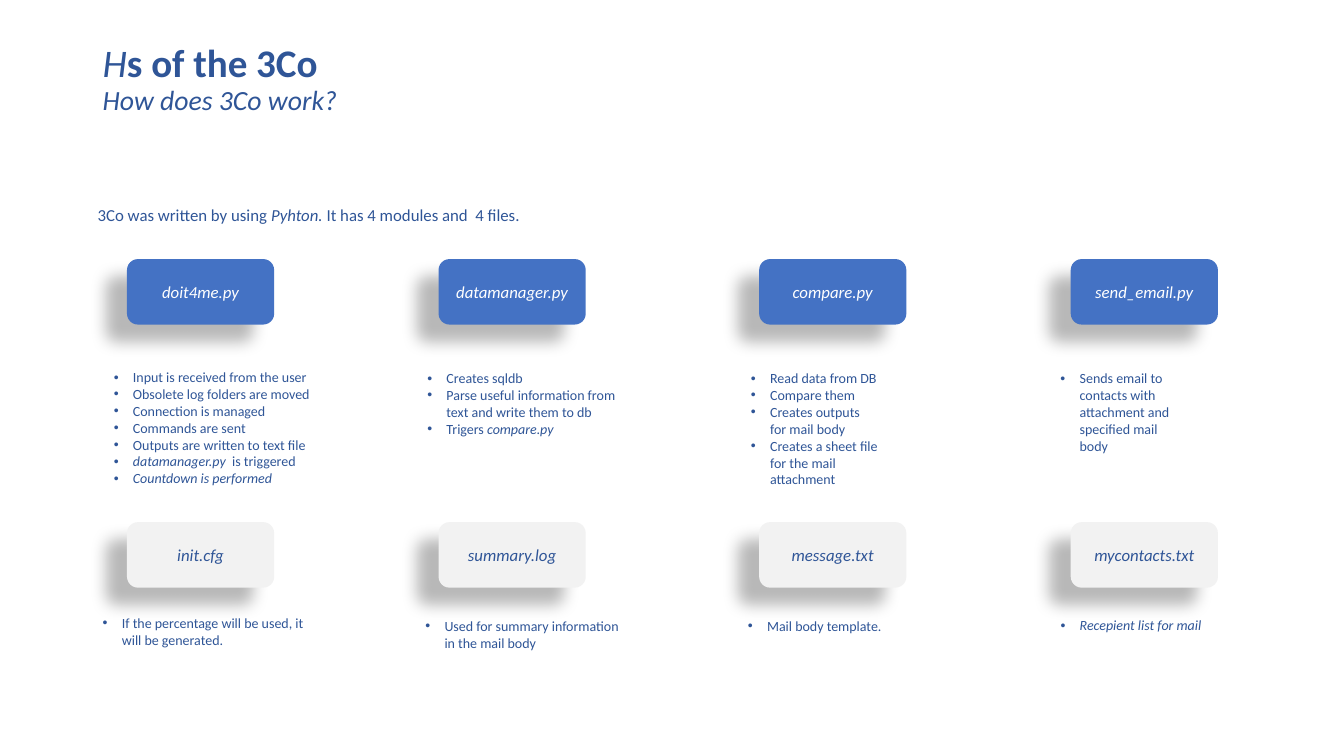
from dataclasses import dataclass

from lxml import etree
from pptx import Presentation
from pptx.dml.color import RGBColor
from pptx.enum.shapes import MSO_SHAPE
from pptx.enum.text import MSO_ANCHOR, MSO_AUTO_SIZE, PP_ALIGN
from pptx.oxml.ns import qn
from pptx.util import Inches, Pt

ROUND = MSO_SHAPE.ROUNDED_RECTANGLE
MIDDLE = MSO_ANCHOR.MIDDLE
CENTER = PP_ALIGN.CENTER
GROW = MSO_AUTO_SIZE.SHAPE_TO_FIT_TEXT

FONT = "Calibri"
COLORS = {"ink": "2F5597", "module": "4472C4", "file": "F2F2F2",
          "white": "FFFFFF", "shadow": "000000"}
COLS = (1.26, 4.35, 7.53, 10.62)
CARD_W, CARD_H = 1.46, 0.65
INDENT = 0.19


@dataclass
class Note:
    left: float
    top: float
    width: float
    height: float
    lines: tuple[str, ...]  # asterisks enclose italics


@dataclass
class Card:
    name: str
    note: Note


@dataclass
class Row:
    top: float
    fill: str
    ink: str
    cards: tuple[Card, ...]


ROWS = (
    Row(2.57, "module", "white", (
        Card("doit4me.py", Note(1.03, 3.61, 2.22, 1.28, (
            "Input is received from the user",
            "Obsolete log folders are moved",
            "Connection is managed",
            "Commands are sent",
            "Outputs are written to text file",
            "*datamanager.py * is triggered",
            "*Countdown is performed*"))),
        Card("datamanager.py", Note(4.14, 3.62, 2.17, 0.77, (
            "Creates sqldb",
            "Parse useful information from text and write them to db",
            "Trigers *compare.py*"))),
        Card("compare.py", Note(7.35, 3.62, 1.46, 1.28, (
            "Read data from DB",
            "Compare them",
            "Creates outputs for mail body",
            "Creates a sheet file for the mail attachment"))),
        Card("send_email.py", Note(10.42, 3.62, 1.46, 0.94, (
            "Sends email to contacts with attachment and specified mail body",))),
    )),
    Row(5.18, "file", "ink", (
        Card("init.cfg", Note(0.92, 6.05, 2.22, 0.44, (
            "If the percentage will be used, it will be generated.",))),
        Card("summary.log", Note(4.12, 6.08, 2.22, 0.44, (
            "Used for summary information in the mail body",))),
        Card("message.txt", Note(7.32, 6.08, 2.22, 0.27, (
            "Mail body template.",))),
        Card("mycontacts.txt", Note(10.42, 6.07, 2.22, 0.27, (
            "*Recepient list for mail*",))),
    )),
)


def color(key: str) -> RGBColor:
    return RGBColor.from_string(COLORS[key])


def write(para, text: str, size: float, ink: str = "ink") -> None:
    """Fill a paragraph, with the parts between asterisks in italics."""
    font = para.font
    font.name, font.size = FONT, Pt(size)
    font.color.rgb = color(ink)
    parts = [(part, i % 2 == 1) for i, part in enumerate(text.split("*")) if part]
    for part, slant in parts:
        run = para.add_run()
        run.text = part
        if len(parts) == 1:
            font.italic = slant
        else:
            run.font.italic = slant


def add_box(slide, left: float, top: float, width: float, height: float):
    box = slide.shapes.add_textbox(Inches(left), Inches(top),
                                   Inches(width), Inches(height))
    box.text_frame.word_wrap = True
    return box.text_frame


def add_shadow(shape) -> None:
    shape.shadow.inherit = False
    effects = shape._element.spPr.find(qn("a:effectLst"))
    outer = etree.SubElement(effects, qn("a:outerShdw"), blurRad=str(Pt(11.8)),
                             dist=str(Pt(19.7)), dir=str(141 * 60000),
                             rotWithShape="0")
    tint = etree.SubElement(outer, qn("a:srgbClr"), val=COLORS["shadow"])
    etree.SubElement(tint, qn("a:alpha"), val="28000")


def add_card(slide, left: float, row: Row, name: str) -> None:
    shape = slide.shapes.add_shape(ROUND, Inches(left), Inches(row.top),
                                   Inches(CARD_W), Inches(CARD_H))
    shape.fill.solid()
    shape.fill.fore_color.rgb = color(row.fill)
    shape.line.fill.background()
    add_shadow(shape)
    frame = shape.text_frame
    frame.vertical_anchor = MIDDLE
    para = frame.paragraphs[0]
    para.alignment = CENTER
    write(para, f"*{name}*", 12, row.ink)


def add_note(slide, note: Note) -> None:
    frame = add_box(slide, note.left, note.top, note.width, note.height)
    frame.auto_size = GROW
    for i, line in enumerate(note.lines):
        para = frame.add_paragraph() if i else frame.paragraphs[0]
        write(para, line, 10)
        props = para._p.get_or_add_pPr()
        props.set("marL", str(Inches(INDENT)))
        props.set("indent", str(-Inches(INDENT)))
        face = etree.Element(qn("a:buFont"), typeface="Arial")
        mark = etree.Element(qn("a:buChar"), char="•")
        props.insert(0, face)
        props.insert(1, mark)


def add_title(slide) -> None:
    frame = add_box(slide, 0.92, 0.4, 11.5, 0.79)
    frame.vertical_anchor = MIDDLE
    para = frame.paragraphs[0]
    para.line_spacing = 0.9
    write(para, "*H*s of the 3Co ", 27.9)
    para.runs[1].font.bold = True
    para.add_line_break()
    sub = para.add_run()
    sub.text = "How does 3Co work?"
    sub.font.size, sub.font.italic = Pt(19.8), True


def main() -> None:
    deck = Presentation()
    deck.slide_width, deck.slide_height = Inches(13.33), Inches(7.5)
    slide = deck.slides.add_slide(deck.slide_layouts[6])

    # Title and introduction
    add_title(slide)
    intro = add_box(slide, 0.87, 2, 11.5, 0.35).paragraphs[0]
    intro.line_spacing = 0.9
    write(intro, "3Co was written by using *Pyhton. *It has 4 modules and  4 files.", 12)

    # Modules above, files below
    for row in ROWS:
        for left, card in zip(COLS, row.cards):
            add_card(slide, left, row, card.name)
            add_note(slide, card.note)

    deck.save("out.pptx")


if __name__ == "__main__":
    main()
